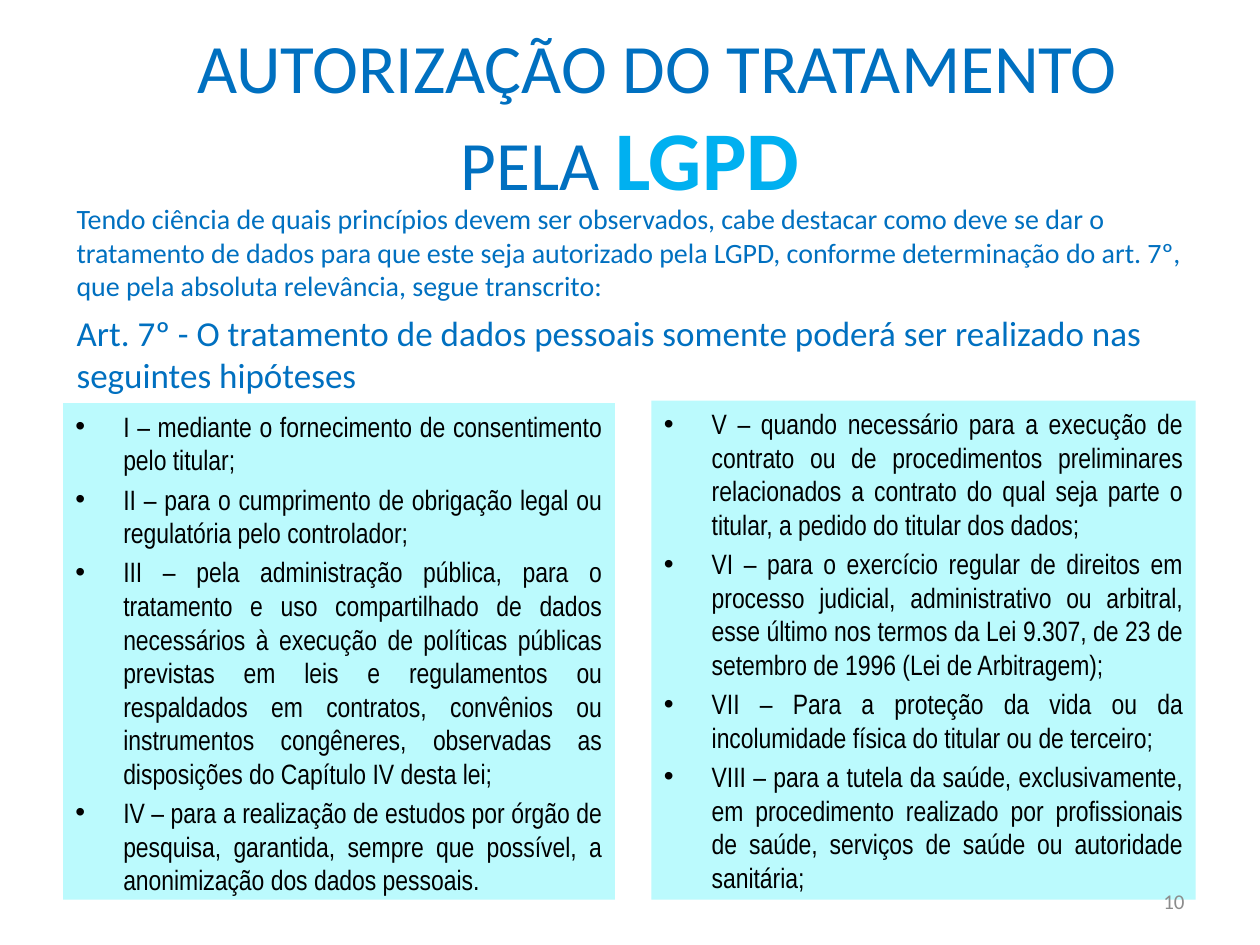
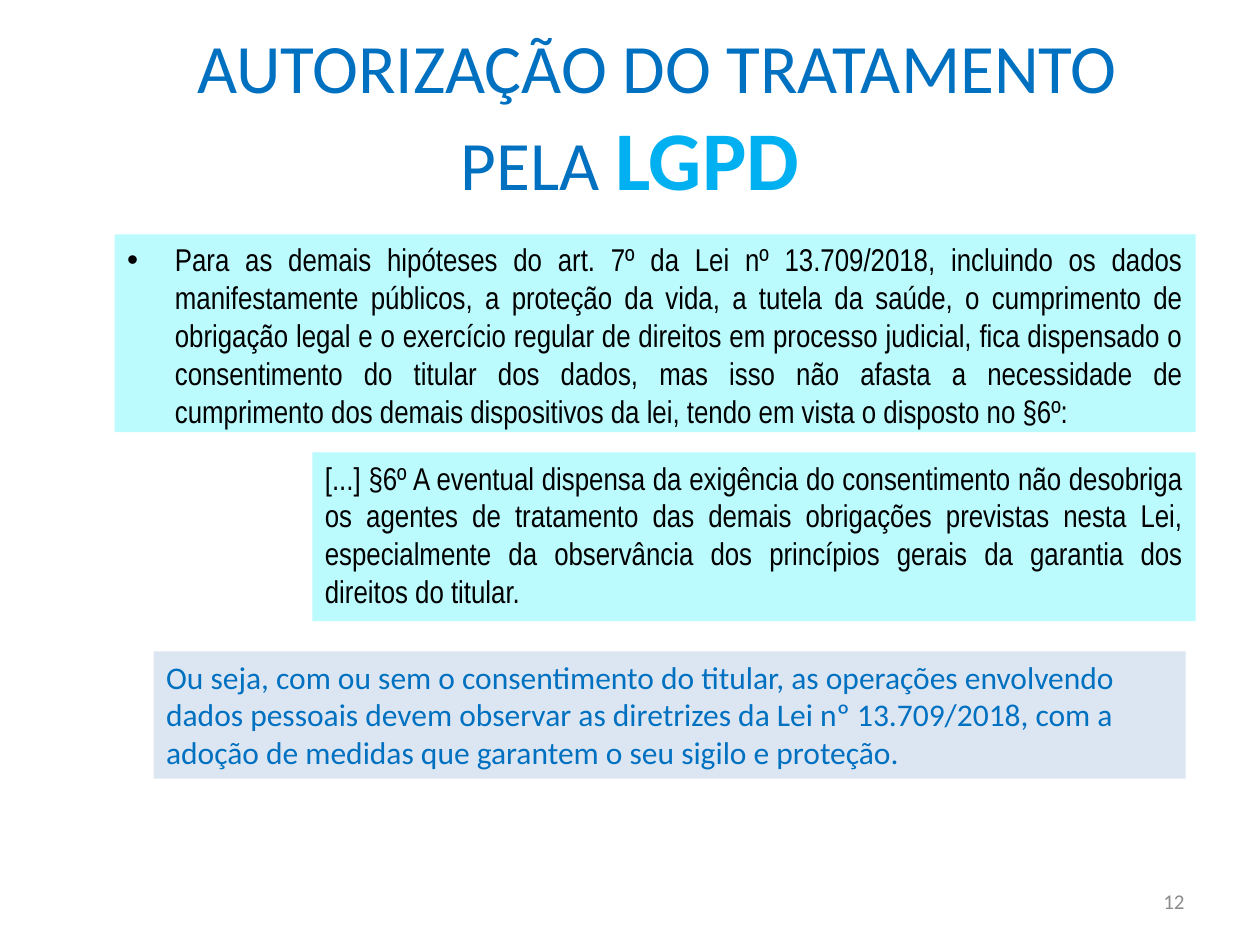
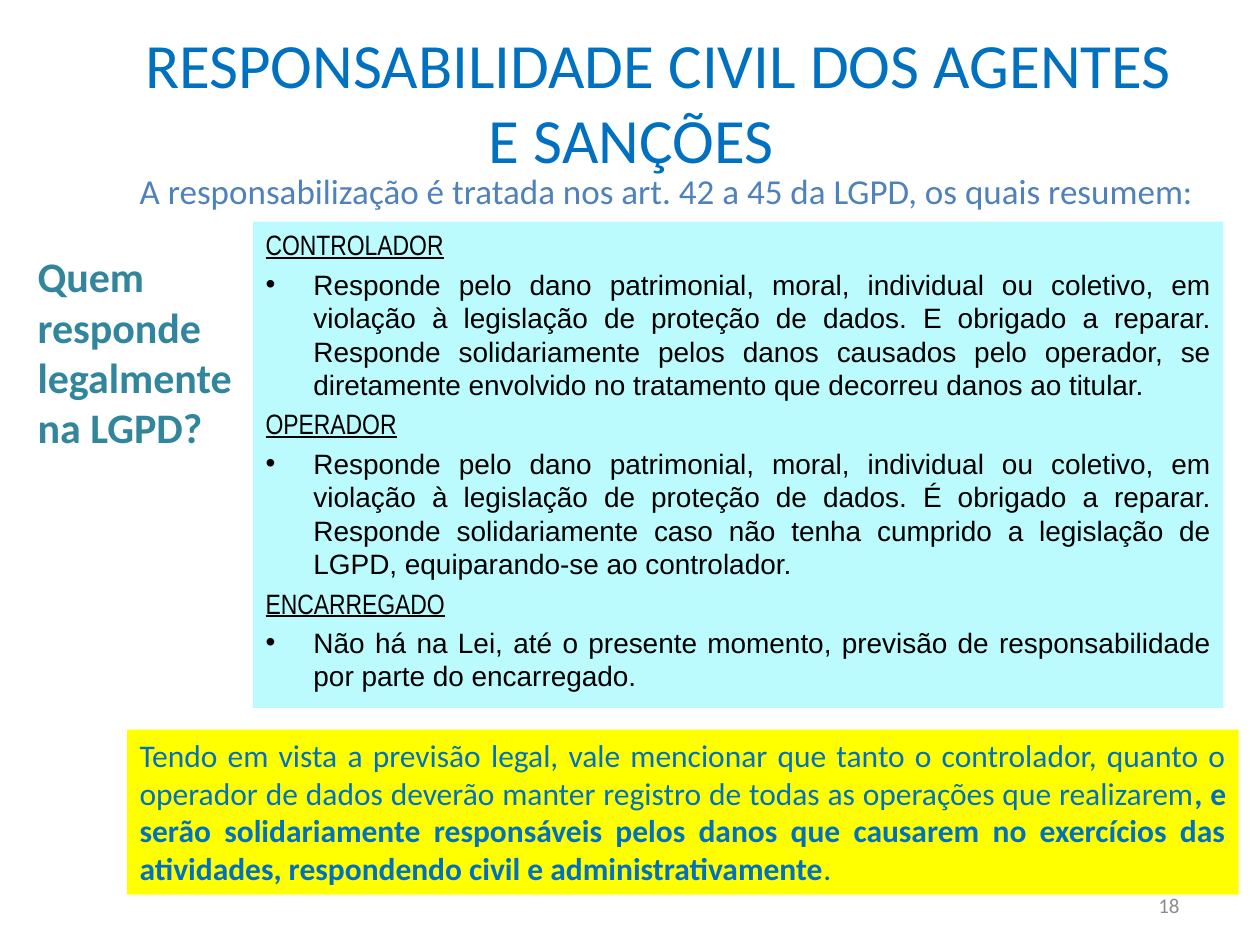
from lxml import etree
from pptx import Presentation
from pptx.dml.color import RGBColor
from pptx.enum.shapes import MSO_SHAPE
from pptx.enum.text import MSO_ANCHOR, PP_ALIGN
from pptx.oxml.ns import qn
from pptx.util import Emu, Pt

RECTANGLE = MSO_SHAPE.RECTANGLE
TOP, MIDDLE = MSO_ANCHOR.TOP, MSO_ANCHOR.MIDDLE
LEFT, CENTER, RIGHT, JUSTIFY = PP_ALIGN.LEFT, PP_ALIGN.CENTER, PP_ALIGN.RIGHT, PP_ALIGN.JUSTIFY

# Shared look; one px is a hundredth of an inch
EMU_PER_PX = 9144
BLUE, SKY, STEEL, TEAL = "0070C0", "00B0F0", "4F81BD", "31859C"
CYAN, PALE, YELLOW = "BBFAFD", "DCE6F2", "FFFF00"
BLACK, GRAY = "000000", "8C8C8C"
SANS, NARROW, ARIAL = "Calibri", "Arial Narrow", "Arial"
BULLET_INDENT, TITLE_INDENT = 38, 43

# Wording
AUTHORIZATION = "AUTORIZAÇÃO DO TRATAMENTO PELA "
HYPOTHESES_LEFT = [
    "I – mediante o fornecimento de consentimento pelo titular;",
    "II – para o cumprimento de obrigação legal ou regulatória pelo controlador;",
    "III – pela administração pública, para o tratamento e uso compartilhado de dados "
    "necessários à execução de políticas públicas previstas em leis e regulamentos ou "
    "respaldados em contratos, convênios ou instrumentos congêneres, observadas as "
    "disposições do Capítulo IV desta lei;",
    "IV – para a realização de estudos por órgão de pesquisa, garantida, sempre que "
    "possível, a anonimização dos dados pessoais.",
]
HYPOTHESES_RIGHT = [
    "V – quando necessário para a execução de contrato ou de procedimentos preliminares "
    "relacionados a contrato do qual seja parte o titular, a pedido do titular dos dados;",
    "VI – para o exercício regular de direitos em processo judicial, administrativo ou "
    "arbitral, esse último nos termos da Lei 9.307, de 23 de setembro de 1996 (Lei de "
    "Arbitragem);",
    "VII – Para a proteção da vida ou da incolumidade física do titular ou de terceiro;",
    "VIII – para a tutela da saúde, exclusivamente, em procedimento realizado por "
    "profissionais de saúde, serviços de saúde ou autoridade sanitária;",
]
DAMAGE = ("Responde pelo dano patrimonial, moral, individual ou coletivo, em violação à "
          "legislação de proteção de dados. ")
AGENTS = [
    ("CONTROLADOR", DAMAGE + "E obrigado a reparar. Responde solidariamente pelos danos "
     "causados pelo operador, se diretamente envolvido no tratamento que decorreu danos "
     "ao titular."),
    ("OPERADOR", DAMAGE + "É obrigado a reparar. Responde solidariamente caso não tenha "
     "cumprido a legislação de LGPD, equiparando-se ao controlador."),
    ("ENCARREGADO", "Não há na Lei, até o presente momento, previsão de responsabilidade "
     "por parte do encarregado."),
]


def px(length):
    return Emu(length * EMU_PER_PX)


def color(value):
    return RGBColor.from_string(value)


def set_attributes(target, values):
    for name, value in values.items():
        setattr(target, name, value)


def add_box(slide, bounds, fill=None, anchor=TOP, vertical_inset=5):
    """Add a wrapping text area, filled when a colour is given."""
    position = [px(length) for length in bounds]
    if fill:
        shape = slide.shapes.add_shape(RECTANGLE, *position)
        shape.shadow.inherit = False
        shape.fill.solid()
        shape.fill.fore_color.rgb = color(fill)
        shape.line.fill.background()
    else:
        shape = slide.shapes.add_textbox(*position)
    set_attributes(shape.text_frame, {
        "word_wrap": True, "vertical_anchor": anchor,
        "margin_left": px(10), "margin_right": px(10),
        "margin_top": px(vertical_inset), "margin_bottom": px(vertical_inset),
    })
    return shape.text_frame


def add_run(paragraph, text, size, font_color, font=SANS, **styles):
    run = paragraph.add_run()
    run.text = text
    set_attributes(run.font, {"name": font, "size": Pt(size), **styles})
    run.font.color.rgb = color(font_color)


def set_indent(paragraph, margin, first_line):
    properties = paragraph._p.get_or_add_pPr()
    properties.set("marL", str(px(margin)))
    properties.set("indent", str(px(first_line)))
    return properties


def add_bullet(paragraph):
    properties = set_indent(paragraph, BULLET_INDENT, -BULLET_INDENT)
    etree.SubElement(properties, qn("a:buFont")).set("typeface", ARIAL)
    etree.SubElement(properties, qn("a:buChar")).set("char", "•")


def add_title(slide, runs, left=50, top=30):
    frame = add_box(slide, (left, top, 900, 124), anchor=MIDDLE, vertical_inset=4)
    paragraph = frame.paragraphs[0]
    paragraph.alignment = CENTER
    set_indent(paragraph, 0, TITLE_INDENT)
    for text, size, font_color, bold in runs:
        add_run(paragraph, text, size, font_color, bold=bold)


def add_authorization_title(slide):
    add_title(slide, [(AUTHORIZATION, 39.6, BLUE, False), ("LGPD", 47.7, SKY, True)])


def add_note(slide, bounds, text, size, font_color=BLUE, fill=None, align=LEFT,
             anchor=TOP, bold=False):
    """Add a single paragraph and return it."""
    paragraph = add_box(slide, bounds, fill, anchor).paragraphs[0]
    paragraph.alignment = align
    add_run(paragraph, text, size, font_color, bold=bold)
    return paragraph


def add_body(slide, bounds, items, size):
    """Add a cyan panel; each item is (text, font, bulleted, underlined)."""
    frame = add_box(slide, bounds, CYAN)
    for index, (text, font, bulleted, underlined) in enumerate(items):
        paragraph = frame.add_paragraph() if index else frame.paragraphs[0]
        set_attributes(paragraph, {
            "alignment": JUSTIFY,
            "space_before": Pt(size * 0.2) if index else Pt(0),
        })
        if bulleted:
            add_bullet(paragraph)
        add_run(paragraph, text, size, BLACK, font, underline=underlined)


def add_page_number(slide, number, left=717, top=695):
    add_note(slide, (left, top, 233, 40), str(number), 12, GRAY, align=RIGHT, anchor=MIDDLE)


def build_hypotheses(slide):
    add_authorization_title(slide)
    panels = [((517, 318, 432, 396), HYPOTHESES_RIGHT), ((50, 320, 438, 394), HYPOTHESES_LEFT)]
    for bounds, texts in panels:
        add_body(slide, bounds, [(text, NARROW, True, False) for text in texts], 16)
    add_note(slide, (51, 155, 906, 91),
             "Tendo ciência de quais princípios devem ser observados, cabe destacar como deve "
             "se dar o tratamento de dados para que este seja autorizado pela LGPD, conforme "
             "determinação do art. 7º, que pela absoluta relevância, segue transcrito:", 16)
    add_note(slide, (51, 242, 874, 77),
             "Art. 7º - O tratamento de dados pessoais somente poderá ser realizado nas "
             "seguintes hipóteses", 20)
    add_page_number(slide, 10)


def build_consent_waiver(slide):
    add_authorization_title(slide)
    # An en space follows the paragraph sign's number
    paragraph_six = (
        "[...] §6º A eventual dispensa da exigência do consentimento não desobriga os agentes "
        "de tratamento das demais obrigações previstas nesta Lei, especialmente da observância "
        "dos princípios gerais da garantia dos direitos do titular.")
    other_hypotheses = (
        "Para as demais hipóteses do art. 7º da Lei nº 13.709/2018, incluindo os dados "
        "manifestamente públicos, a proteção da vida, a tutela da saúde, o cumprimento de "
        "obrigação legal e o exercício regular de direitos em processo judicial, fica "
        "dispensado o consentimento do titular dos dados, mas isso não afasta a necessidade "
        "de cumprimento dos demais dispositivos da lei, tendo em vista o disposto no §6º:")
    add_body(slide, (248, 359, 701, 134), [(paragraph_six, NARROW, False, False)], 18)
    add_body(slide, (91, 186, 858, 157), [(other_hypotheses, NARROW, True, False)], 18)
    add_note(slide, (122, 517, 819, 101),
             "Ou seja, com ou sem o consentimento do titular, as operações envolvendo dados "
             "pessoais devem observar as diretrizes da Lei nº 13.709/2018, com a adoção de "
             "medidas que garantem o seu sigilo e proteção.", 18, fill=PALE)
    add_page_number(slide, 12)


def build_liability(slide):
    add_title(slide, [("RESPONSABILIDADE CIVIL DOS AGENTES E SANÇÕES", 36, BLUE, False)],
              left=51, top=18)
    items = []
    for agent, duty in AGENTS:
        items += [(agent, NARROW, False, True), (duty, ARIAL, True, False)]
    add_body(slide, (201, 176, 770, 386), items, 16)
    add_page_number(slide, 18, left=713, top=698)
    add_note(slide, (20, 194, 197, 172), "Quem responde legalmente na LGPD?", 24, TEAL, bold=True)
    conclusion = add_note(
        slide, (101, 579, 882, 131),
        "Tendo em vista a previsão legal, vale mencionar que tanto o controlador, quanto o "
        "operador de dados deverão manter registro de todas as operações que realizarem",
        18, fill=YELLOW, align=JUSTIFY)
    add_run(conclusion, ", e serão solidariamente responsáveis pelos danos que causarem no "
            "exercícios das atividades, respondendo civil e administrativamente",
            18, BLUE, bold=True)
    add_run(conclusion, ".", 18, BLUE, bold=False)
    add_note(slide, (101, 130, 858, 44),
             "A responsabilização é tratada nos art. 42 a 45 da LGPD, os quais resumem:",
             20, STEEL)


def main():
    presentation = Presentation()
    presentation.slide_width, presentation.slide_height = px(1000), px(750)
    blank_layout = presentation.slide_layouts[6]
    for build in (build_hypotheses, build_consent_waiver, build_liability):
        build(presentation.slides.add_slide(blank_layout))
    presentation.save("out.pptx")


if __name__ == "__main__":
    main()
